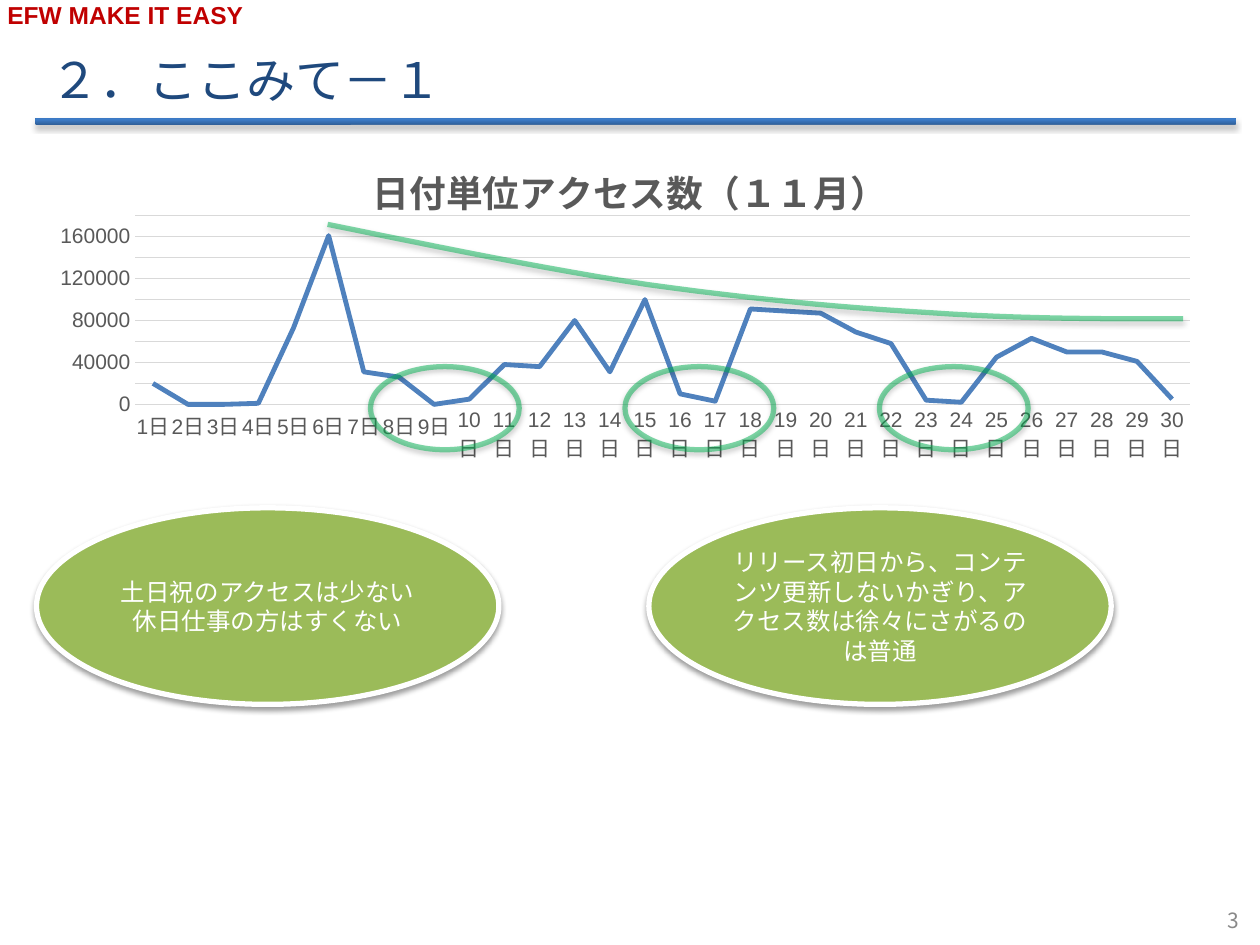
"""Build the slide on daily access counts, with its chart, marks and notes."""
from dataclasses import dataclass
from typing import Any

import pptx
import pptx.chart.data
import pptx.dml.color
import pptx.enum.chart
import pptx.enum.shapes
import pptx.enum.text
import pptx.oxml
import pptx.oxml.ns
import pptx.util

Pt = pptx.util.Pt
RGBColor = pptx.dml.color.RGBColor
SHAPE = pptx.enum.shapes.MSO_SHAPE
ALIGN = pptx.enum.text.PP_ALIGN
MIDDLE = pptx.enum.text.MSO_ANCHOR.MIDDLE

RED = RGBColor(0xC0, 0x00, 0x00)
NAVY = RGBColor(0x1F, 0x49, 0x7D)
BLUE = RGBColor(0x4F, 0x81, 0xBD)
DEEP = RGBColor(0x2F, 0x5F, 0x99)
BRIGHT = RGBColor(0x3D, 0x7C, 0xC7)
GREEN = RGBColor(0x00, 0xB0, 0x50)
OLIVE = RGBColor(0x9B, 0xBB, 0x59)
WHITE = RGBColor(0xFF, 0xFF, 0xFF)
GRAY = RGBColor(0x89, 0x89, 0x89)
DARK = RGBColor(0x59, 0x59, 0x59)
PALE = RGBColor(0xD9, 0xD9, 0xD9)
LATIN = "Arial"
KANJI = "Noto Sans CJK JP"

COUNTS = (
    20000, 0, 0, 1000, 73000, 161000, 31000, 26000, 0, 5000,
    38000, 36000, 80000, 31000, 100000, 10000, 3000, 91000, 89000, 87000,
    69000, 58000, 4000, 2000, 45000, 63000, 50000, 50000, 41000, 5000,
)
CURVE = (
    (187.2, 128.2), (250.6, 141.1), (313.2, 154.1), (370.8, 162.7),
    (427.7, 170.6), (479.5, 175.7), (530.6, 178.6),
    (581.8, 182.2), (628.6, 182.2), (676.1, 182.2),
)


@dataclass
class Box:
    left: float
    top: float
    width: float
    height: float

    def place(self) -> tuple:
        return Pt(self.left), Pt(self.top), Pt(self.width), Pt(self.height)


@dataclass
class Note:
    left: float
    lines: tuple


RINGS = [Box(211.7 + 145.4 * i, 209.5, 85, 47.5) for i in range(3)]
NOTES = (
    Note(20.9, ("土日祝のアクセスは少ない", "休日仕事の方はすくない")),
    Note(370.8, ("リリース初日から、コンテンツ更新しないかぎり、アクセス数は徐々にさがるのは普通",)),
)


def style(font: Any, size: float, color: RGBColor, name: str = KANJI, bold: bool = False) -> None:
    font.size, font.name, font.bold = Pt(size), name, bold
    font.color.rgb = color


def write(para: Any, text: str, size: float, color: RGBColor,
          name: str = KANJI, bold: bool = False) -> None:
    run = para.add_run()
    run.text = text
    style(run.font, size, color, name, bold)
    east = pptx.oxml.parse_xml(f'<a:ea {pptx.oxml.ns.nsdecls("a")} typeface="{KANJI}"/>')
    run.font._element.find(pptx.oxml.ns.qn("a:latin")).addnext(east)


def shade(shape: Any, alpha: int = 38, dist: float = 1.6) -> None:
    shape.shadow.inherit = False
    glow = shape._element.spPr.find(pptx.oxml.ns.qn("a:effectLst"))
    glow.append(pptx.oxml.parse_xml(
        f'<a:outerShdw {pptx.oxml.ns.nsdecls("a")} blurRad="{Pt(3.1)}" dist="{Pt(dist)}" '
        f'dir="5400000" rotWithShape="0"><a:srgbClr val="000000">'
        f'<a:alpha val="{alpha * 1000}"/></a:srgbClr></a:outerShdw>'))


def outline(shape: Any) -> None:
    shape.fill.background()
    shape.line.width = Pt(3)
    shape.line.color.rgb = GREEN
    tint = shape.line._ln.find(".//" + pptx.oxml.ns.qn("a:srgbClr"))
    tint.append(pptx.oxml.parse_xml(f'<a:alpha {pptx.oxml.ns.nsdecls("a")} val="50000"/>'))
    shade(shape)


def layout(owner: Any, **parts: float) -> Any:
    body = "".join(f'<c:{key} val="{val}"/>' for key, val in parts.items())
    return pptx.oxml.parse_xml(
        f'<c:layout {pptx.oxml.ns.nsdecls("c")}><c:manualLayout>{owner}'
        f'<c:xMode val="edge"/><c:yMode val="edge"/>{body}</c:manualLayout></c:layout>')


def add_bar(slide: Any) -> None:
    bar = slide.shapes.add_shape(SHAPE.ROUNDED_RECTANGLE, *Box(20.2, 67.7, 686, 3.6).place())
    bar.fill.gradient()
    bar.fill.gradient_angle = 90
    for stop, color, spot in zip(bar.fill.gradient_stops, (DEEP, BRIGHT), (0, 0.8)):
        stop.color.rgb = color
        stop.position = spot
    bar.line.fill.background()
    shade(bar, 35, 1.8)


def add_label(slide: Any, box: Box, text: str, size: float, color: RGBColor,
              align: Any, name: str, bold: bool) -> None:
    frame = slide.shapes.add_textbox(*box.place()).text_frame
    frame.word_wrap = True
    frame.vertical_anchor = MIDDLE
    frame.paragraphs[0].alignment = align
    write(frame.paragraphs[0], text, size, color, name, bold)


def add_title(slide: Any) -> None:
    title = slide.shapes.title
    title.left, title.top, title.width, title.height = Box(21.6, 21.6, 648, 43.9).place()
    title.text_frame.vertical_anchor = MIDDLE
    para = title.text_frame.paragraphs[0]
    para.alignment, para.line_spacing = ALIGN.LEFT, 1.1
    write(para, "２．ここみて－１", 28, NAVY)


def add_graph(slide: Any) -> None:
    data = pptx.chart.data.CategoryChartData()
    data.categories = [f"{day}日" for day in range(1, len(COUNTS) + 1)]
    data.add_series("Series 1", COUNTS)
    kind = pptx.enum.chart.XL_CHART_TYPE.LINE
    chart = slide.shapes.add_chart(kind, *Box(20.9, 74.9, 672.5, 193.7).place(), data).chart
    style(chart.font, 10, DARK, LATIN)
    chart.has_legend = False
    chart.has_title = True
    head = chart.chart_title
    write(head.text_frame.paragraphs[0], "日付単位アクセス数（１１月）", 21, DARK, LATIN, True)
    head.include_in_layout = False
    for old in head._element.findall(pptx.oxml.ns.qn("c:layout")):
        head._element.remove(old)
    head._element.find(pptx.oxml.ns.qn("c:tx")).addnext(layout("", x=0.28, y=0.07))
    area = chart._chartSpace.chart.plotArea
    for old in area.findall(pptx.oxml.ns.qn("c:layout")):
        area.remove(old)
    inner = '<c:layoutTarget val="inner"/>'
    area.insert(0, layout(inner, x=0.084, y=0.25, w=0.896, h=0.557))
    plot = chart.plots[0]
    plot.vary_by_categories = False
    line = plot.series[0]
    line.smooth = False
    line.format.line.color.rgb = BLUE
    line.format.line.width = Pt(2.75)
    line.marker.style = pptx.enum.chart.XL_MARKER_STYLE.NONE
    days, scale = chart.category_axis, chart.value_axis
    for axis in (days, scale):
        axis.major_tick_mark = pptx.enum.chart.XL_TICK_MARK.NONE
        style(axis.tick_labels.font, 12, DARK, LATIN)
    days.format.line.color.rgb = PALE
    days.format.line.width = Pt(1)
    scale.format.line.fill.background()
    scale.minimum_scale, scale.maximum_scale, scale.major_unit = 0, 180000, 20000
    scale.major_gridlines.format.line.color.rgb = PALE
    scale.major_gridlines.format.line.width = Pt(0.75)


def add_ring(slide: Any, box: Box) -> None:
    outline(slide.shapes.add_shape(SHAPE.OVAL, *box.place()))


def add_note(slide: Any, note: Note) -> None:
    oval = slide.shapes.add_shape(SHAPE.OVAL, *Box(note.left, 290.2, 264.2, 112.3).place())
    oval.fill.solid()
    oval.fill.fore_color.rgb = OLIVE
    oval.line.color.rgb = WHITE
    oval.line.width = Pt(3)
    shade(oval)
    frame = oval.text_frame
    frame.word_wrap = True
    frame.vertical_anchor = MIDDLE
    for i, text in enumerate(note.lines):
        para = frame.add_paragraph() if i else frame.paragraphs[0]
        para.alignment = ALIGN.CENTER
        write(para, text, 14, WHITE)


def bend(knots: tuple, t: float) -> tuple:
    rates = ((1 - t) ** 3, 3 * t * (1 - t) ** 2, 3 * t * t * (1 - t), t ** 3)
    return tuple(Pt(sum(r * k[i] for r, k in zip(rates, knots))) for i in (0, 1))


def add_trend(slide: Any, steps: int = 12) -> None:
    form = slide.shapes.build_freeform(*map(Pt, CURVE[0]))
    dots = [bend(CURVE[i:i + 4], n / steps) for i in (0, 3, 6) for n in range(1, steps + 1)]
    form.add_line_segments(dots, close=False)
    outline(form.convert_to_shape())


def main() -> None:
    deck = pptx.Presentation()
    deck.slide_width, deck.slide_height = Pt(720), Pt(540)
    slide = deck.slides.add_slide(deck.slide_layouts[5])
    add_bar(slide)
    add_label(slide, Box(-2.9, -3.6, 254.9, 24.5), "EFW MAKE IT EASY", 14, RED, ALIGN.LEFT, LATIN, True)
    add_title(slide)
    add_label(slide, Box(547.2, 511.2, 167.8, 28.8), "3", 12, GRAY, ALIGN.RIGHT, KANJI, False)
    add_graph(slide)
    for box in RINGS:
        add_ring(slide, box)
    add_note(slide, NOTES[0])
    add_trend(slide)
    add_note(slide, NOTES[1])
    deck.save("out.pptx")


if __name__ == "__main__":
    main()
